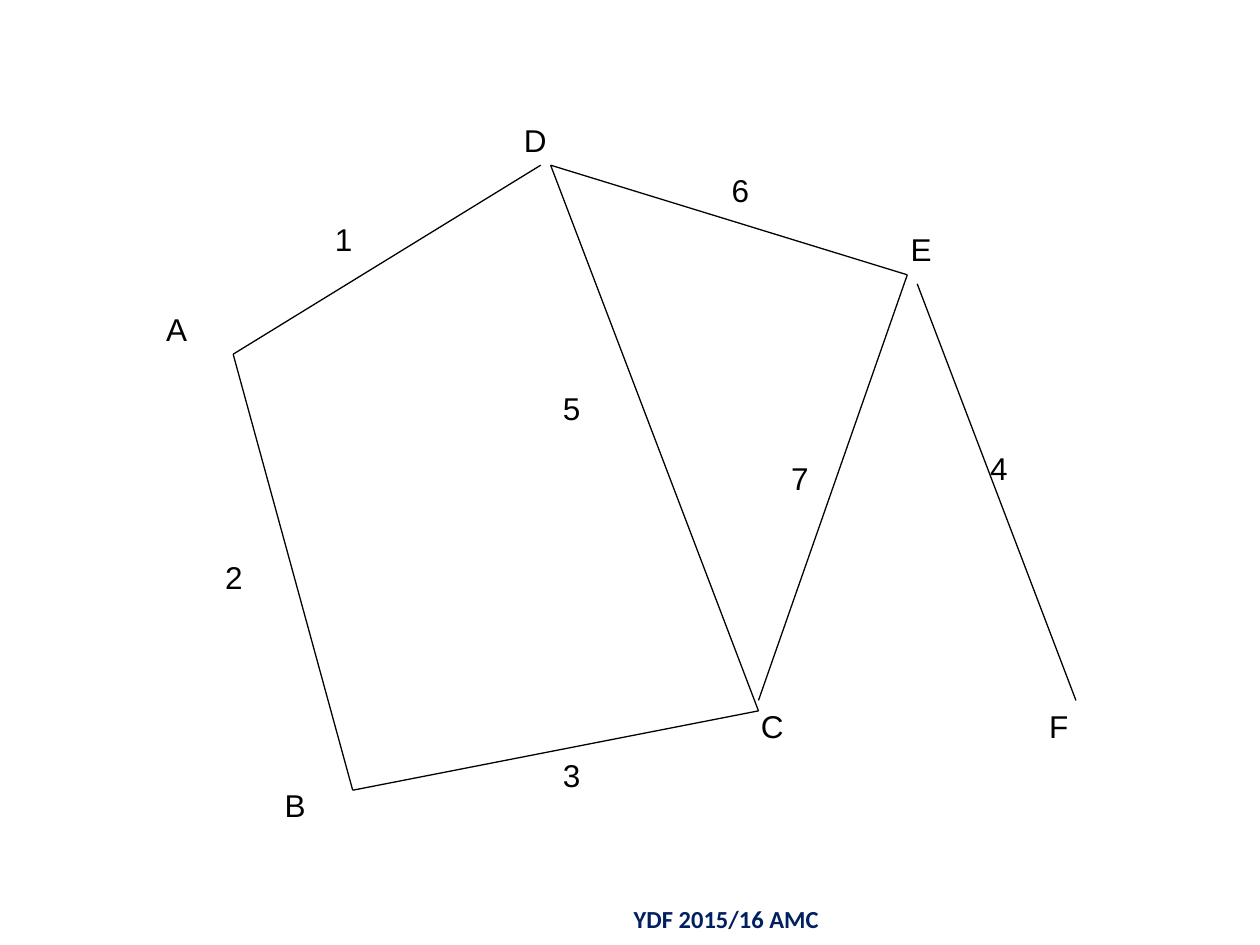
"""Build a slide with a graph of six lettered nodes and seven numbered edges."""
from pptx import Presentation
from pptx.dml.color import RGBColor
from pptx.enum.shapes import MSO_CONNECTOR as Connector
from pptx.enum.text import MSO_ANCHOR as Anchor, MSO_AUTO_SIZE as AutoSize, PP_ALIGN as Align
from pptx.oxml.ns import qn
from pptx.util import Cm, Pt
from lxml.etree import SubElement

EDGES = [
    ((4.7, 7.14), (10.9, 3.33)),
    ((11.1, 3.33), (18.29, 5.54)),
    ((18.49, 5.72), (21.69, 14.12)),
    ((4.7, 7.14), (7.11, 15.93)),
    ((7.11, 15.93), (15.29, 14.33)),
    ((15.29, 14.33), (11.1, 3.33)),
    ((15.29, 14.12), (18.29, 5.54)),
]
LABELS = {
    "A": (3.1, 6.12), "D": (10.31, 2.31), "E": (18.11, 4.52),
    "B": (5.49, 15.72), "C": (15.09, 14.12), "F": (20.9, 14.12),
    "1": (6.5, 4.32), "2": (4.29, 11.13), "5": (11.1, 7.72),
    "6": (14.5, 3.33), "4": (19.71, 8.92), "7": (15.7, 9.12),
    "3": (11.1, 15.11),
}
LABEL_SIZE = (1.6, 1.02)
FOOTER = "YDF 2015/16 AMC"
FOOTER_BOX = (1.7, 18.01, 15.06, 1.02)
LABEL_FONT = {"name": "Arial", "size": Pt(18)}
FOOTER_FONT = {"name": "Calibri", "size": Pt(14), "bold": True}


def paint(color_format, hex_color):
    color_format.rgb = RGBColor.from_string(hex_color)


def add_text(shapes, wording, box, font_format, hex_color, frame_format, align=Align.LEFT):
    frame = shapes.add_textbox(*map(Cm, box)).text_frame
    for attribute, value in {"word_wrap": True, **frame_format}.items():
        setattr(frame, attribute, value)
    paragraph = frame.paragraphs[0]
    paragraph.alignment = align
    run = paragraph.add_run()
    run.text = wording
    for attribute, value in font_format.items():
        setattr(run.font, attribute, value)
    paint(run.font.color, hex_color)


def add_edge(shapes, start, end):
    edge = shapes.add_connector(Connector.STRAIGHT, *map(Cm, start + end))
    edge.line.width = Pt(0.75)
    paint(edge.line.color, "000000")
    SubElement(edge._element.spPr, qn("a:effectLst"))


def main():
    deck = Presentation()
    deck.slide_width, deck.slide_height = Cm(25.4), Cm(19.05)
    slide = deck.slides.add_slide(deck.slide_layouts[6])
    add_text(slide.shapes, FOOTER, FOOTER_BOX, FOOTER_FONT, "002060",
             {"vertical_anchor": Anchor.MIDDLE}, Align.RIGHT)
    graph = slide.shapes.add_group_shape().shapes
    for start, end in EDGES:
        add_edge(graph, start, end)
    for label, corner in LABELS.items():
        add_text(graph, label, corner + LABEL_SIZE, LABEL_FONT, "000000",
                 {"auto_size": AutoSize.SHAPE_TO_FIT_TEXT})
    deck.save("out.pptx")


if __name__ == "__main__":
    main()
